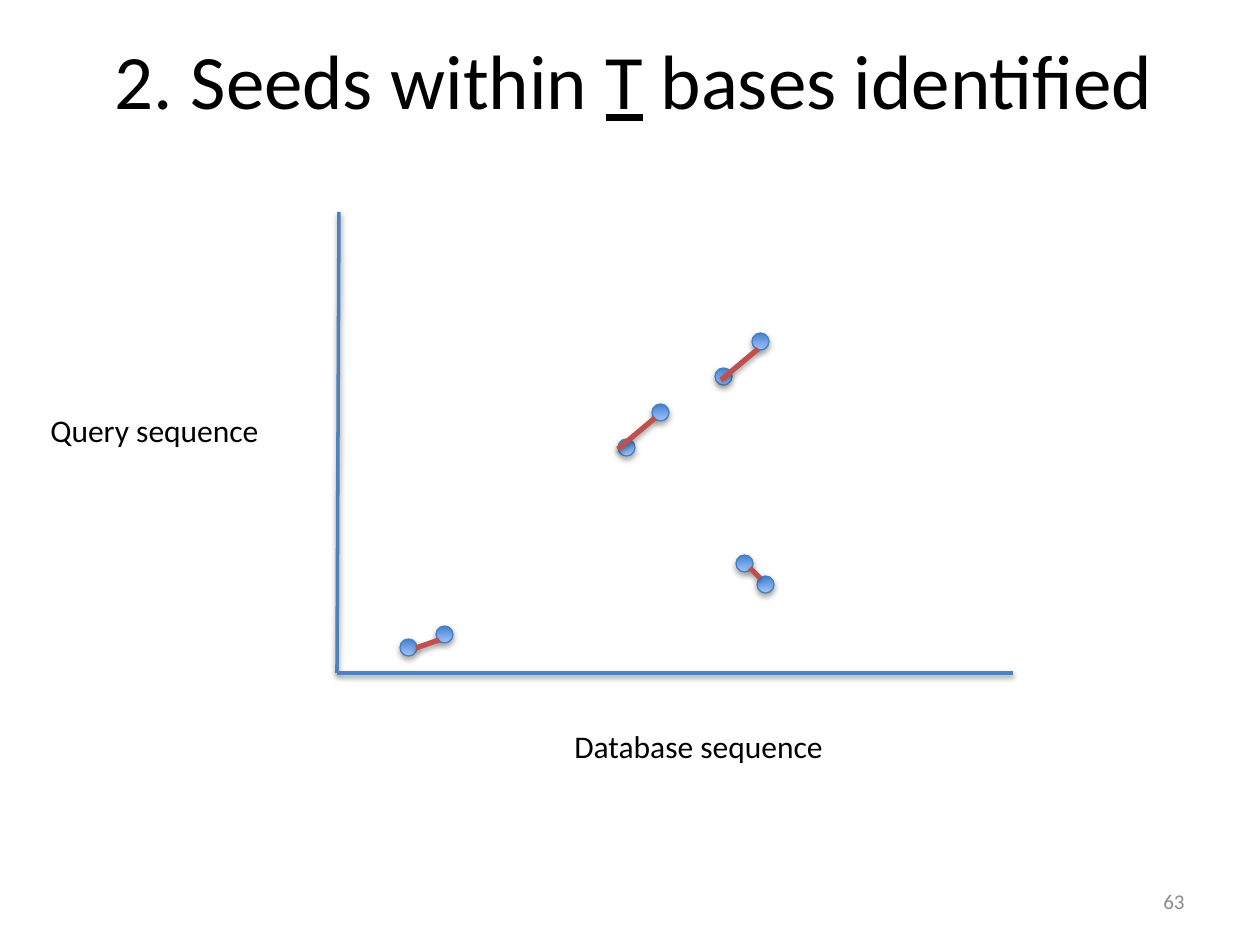
from lxml.etree import SubElement
from pptx import Presentation
from pptx.dml.color import RGBColor
from pptx.enum.shapes import MSO_CONNECTOR, MSO_SHAPE
from pptx.enum.text import MSO_ANCHOR, PP_ALIGN
from pptx.oxml.ns import qn
from pptx.util import Emu, Pt

SCALE = 914400 / 126  # EMU per px
COLORS = {
    "text": "000000", "number": "8C8C8C", "axis": "4F81BD", "link": "C0504D",
    "seed_edge": "4B7EBC", "seed_top": "3F80CE", "seed_bottom": "A4C4FF",
    "shadow": "000000",
}
SEED_SIZE = 17


def px(*lengths):
    """Turn px lengths into EMU."""
    return [Emu(round(length * SCALE)) for length in lengths]


def add_shadow(shape, distance, opacity):
    """Add a soft shadow straight below; call after fill and line are set."""
    effects = SubElement(shape._element.spPr, qn("a:effectLst"))
    outer = SubElement(effects, qn("a:outerShdw"), blurRad="40000",
                       dist=str(distance), dir="5400000", rotWithShape="0")
    color = SubElement(outer, qn("a:srgbClr"), val=COLORS["shadow"])
    SubElement(color, qn("a:alpha"), val=str(opacity * 1000))


presentation = Presentation()
presentation.slide_width, presentation.slide_height = px(1260, 945)
slide = presentation.slides.add_slide(presentation.slide_layouts[5])
shapes = slide.shapes

# Title
title = shapes.title
title.left, title.top, title.width, title.height = px(67, 0, 1134, 158)
title.text_frame.vertical_anchor = MSO_ANCHOR.MIDDLE
paragraph = title.text_frame.paragraphs[0]
paragraph.alignment = PP_ALIGN.CENTER
for text, underlined in [("2. Seeds within ", False), ("T", True),
                         (" bases identified", False)]:
    run = paragraph.add_run()
    run.text = text
    run.font.name = "Calibri"
    run.font.size = Pt(44)
    run.font.underline = underlined
    run.font.color.rgb = RGBColor.from_string(COLORS["text"])

# Axis labels and slide number
for text, box, size, color, wrap, alignment, anchor in [
    ("Database sequence", (562, 721, 276, 50), 18, "text", False,
     PP_ALIGN.LEFT, MSO_ANCHOR.TOP),
    ("Query sequence", (38, 405, 236, 50), 18, "text", False,
     PP_ALIGN.LEFT, MSO_ANCHOR.TOP),
    ("63", (903, 876, 294, 50), 12, "number", True,
     PP_ALIGN.RIGHT, MSO_ANCHOR.MIDDLE),
]:
    frame = shapes.add_textbox(*px(*box)).text_frame
    frame.word_wrap = wrap
    frame.vertical_anchor = anchor
    paragraph = frame.paragraphs[0]
    paragraph.alignment = alignment
    run = paragraph.add_run()
    run.text = text
    run.font.name = "Calibri"
    run.font.size = Pt(size)
    run.font.color.rgb = RGBColor.from_string(COLORS[color])

# Seeds, by top left corner
for left, top in [(618, 439), (652, 404), (715, 368), (736, 555),
                  (757, 576), (400, 639), (436, 626), (752, 333)]:
    seed = shapes.add_shape(MSO_SHAPE.OVAL, *px(left, top, SEED_SIZE, SEED_SIZE))
    seed.fill.gradient()
    seed.fill.gradient_angle = 270
    for stop, color, position in zip(seed.fill.gradient_stops,
                                     ("seed_top", "seed_bottom"), (0, 1)):
        stop.color.rgb = RGBColor.from_string(COLORS[color])
        stop.position = position
    seed.line.color.rgb = RGBColor.from_string(COLORS["seed_edge"])
    seed.line.width = Pt(0.75)
    add_shadow(seed, 23000, 35)

# Axes, then links between neighbouring seeds
axes = [(339, 212, 337, 673), (337, 673, 1013, 673)]
links = [(416, 648, 439, 640), (618, 449, 655, 418),
         (721, 380, 758, 349), (750, 568, 760, 578)]
for lines, color, width, distance, opacity in [
    (axes, "axis", 2, 20000, 38),
    (links, "link", 3, 23000, 35),
]:
    for ends in lines:
        line = shapes.add_connector(MSO_CONNECTOR.STRAIGHT, *px(*ends))
        line.line.color.rgb = RGBColor.from_string(COLORS[color])
        line.line.width = Pt(width)
        add_shadow(line, distance, opacity)

presentation.save("out.pptx")
